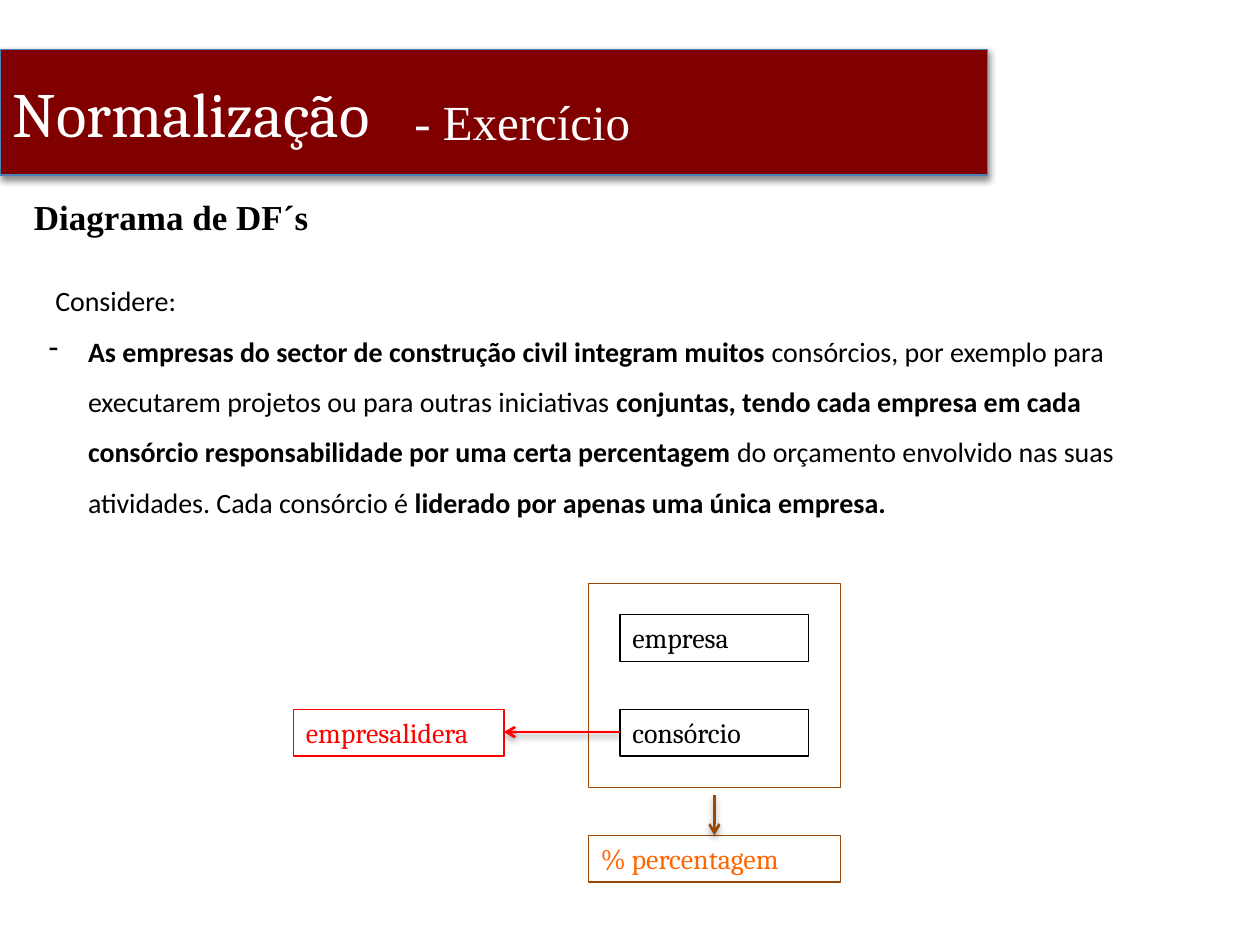
"""Build the slide on normalization with a functional dependency diagram."""
from lxml.etree import SubElement
from pptx import Presentation
from pptx.dml.color import RGBColor
from pptx.enum.shapes import MSO_CONNECTOR as Connector, MSO_SHAPE as Shape
from pptx.enum.text import MSO_ANCHOR as Anchor, PP_ALIGN as Align
from pptx.oxml.ns import qn
from pptx.util import Inches, Pt

COLORS = {
    "white": "FFFFFF", "black": "000000", "maroon": "800000", "blue": "4F81BD",
    "brown": "984807", "red": "FF0000", "orange": "FF6600",
}


def style_text(para, font, size, color, bold=False):
    for span in para.runs:
        span.font.name = font
        span.font.size = Pt(size)
        span.font.bold = bold
        span.font.color.rgb = RGBColor.from_string(COLORS[color])


def add_shadow(shape, opacity):
    effects = SubElement(shape._element.spPr, qn("a:effectLst"))
    shadow = SubElement(effects, qn("a:outerShdw"), blurRad=str(Pt(4)),
                        dist=str(Pt(2)), dir="5400000", rotWithShape="0")
    color = SubElement(shadow, qn("a:srgbClr"), val=COLORS["black"])
    SubElement(color, qn("a:alpha"), val=str(opacity * 1000))


deck = Presentation()
deck.slide_width, deck.slide_height = Inches(10), Inches(7.5)
page = deck.slides.add_slide(deck.slide_layouts[5])

title = page.shapes.title
title.left, title.top = Inches(0), Inches(0.39)
title.width, title.height = Inches(7.84), Inches(1)
title.fill.solid()
title.fill.fore_color.rgb = RGBColor.from_string(COLORS["maroon"])
title.line.color.rgb = RGBColor.from_string(COLORS["blue"])
title.line.width = Pt(0.75)
add_shadow(title, 45)
title.text_frame.text = "Normalização"
title.text_frame.vertical_anchor = Anchor.MIDDLE
title.text_frame.paragraphs[0].alignment = Align.LEFT
style_text(title.text_frame.paragraphs[0], "Cambria", 36, "white")

headings = [
    ("Diagrama de DF´s", 0.17, 1.5, 9, 0.48, 20, "black", True),
    ("- Exercício", 3.19, 0.68, 4.39, 0.66, 28, "white", False),
]
for text, left, top, width, height, size, color, bold in headings:
    box = page.shapes.add_textbox(Inches(left), Inches(top), Inches(width), Inches(height))
    box.text_frame.word_wrap = True
    box.text_frame.text = text
    style_text(box.text_frame.paragraphs[0], "Times New Roman", size, color, bold)

body = page.shapes.add_textbox(Inches(0.29), Inches(2.07), Inches(8.88), Inches(2.08))
body.text_frame.word_wrap = True
body.text_frame.text = " Considere:"
intro = body.text_frame.paragraphs[0]
statement = body.text_frame.add_paragraph()
phrases = [
    "As empresas do sector de construção civil integram muitos ",
    "consórcios, por exemplo para executarem projetos ou para outras iniciativas ",
    "conjuntas, tendo cada empresa em cada consórcio responsabilidade por uma certa percentagem ",
    "do orçamento envolvido nas suas atividades. Cada consórcio é ",
    "liderado por apenas uma única empresa.",
]
for phrase in phrases:
    statement.add_run().text = phrase
for para in (intro, statement):
    para.line_spacing = 1.5
    style_text(para, "Calibri", 16, "black")
for span in statement.runs[::2]:
    span.font.bold = True
properties = statement._p.get_or_add_pPr()
properties.set("marL", str(Inches(0.31)))
properties.set("indent", str(-Inches(0.31)))
SubElement(properties, qn("a:buChar"), char="-")

nodes = [
    ("", 4.67, 4.63, 2, 1.62, "brown", "brown"),
    ("empresa", 4.92, 4.88, 1.5, 0.37, "black", "black"),
    ("consórcio", 4.92, 5.63, 1.5, 0.37, "black", "black"),
    ("% percentagem", 4.67, 6.63, 2, 0.37, "brown", "orange"),
    ("empresalidera", 2.33, 5.63, 1.67, 0.37, "red", "red"),
]
for text, left, top, width, height, outline, color in nodes:
    node = page.shapes.add_shape(
        Shape.RECTANGLE, Inches(left), Inches(top), Inches(width), Inches(height))
    node.shadow.inherit = False
    node.fill.background()
    node.line.color.rgb = RGBColor.from_string(COLORS[outline])
    node.line.width = Pt(0.75)
    if text:
        node.text_frame.text = text
        node.text_frame.vertical_anchor = Anchor.TOP
        node.text_frame.paragraphs[0].alignment = Align.LEFT
        style_text(node.text_frame.paragraphs[0], "Cambria", 16, color)

arrows = [(4.92, 5.81, 4, 5.81, "red"), (5.67, 6.31, 5.67, 6.63, "brown")]
for x1, y1, x2, y2, color in arrows:
    arrow = page.shapes.add_connector(
        Connector.STRAIGHT, Inches(x1), Inches(y1), Inches(x2), Inches(y2))
    arrow.line.color.rgb = RGBColor.from_string(COLORS[color])
    arrow.line.width = Pt(1.5)
    SubElement(arrow._element.spPr.find(qn("a:ln")), qn("a:tailEnd"), type="arrow")
    add_shadow(arrow, 40)

deck.save("out.pptx")
